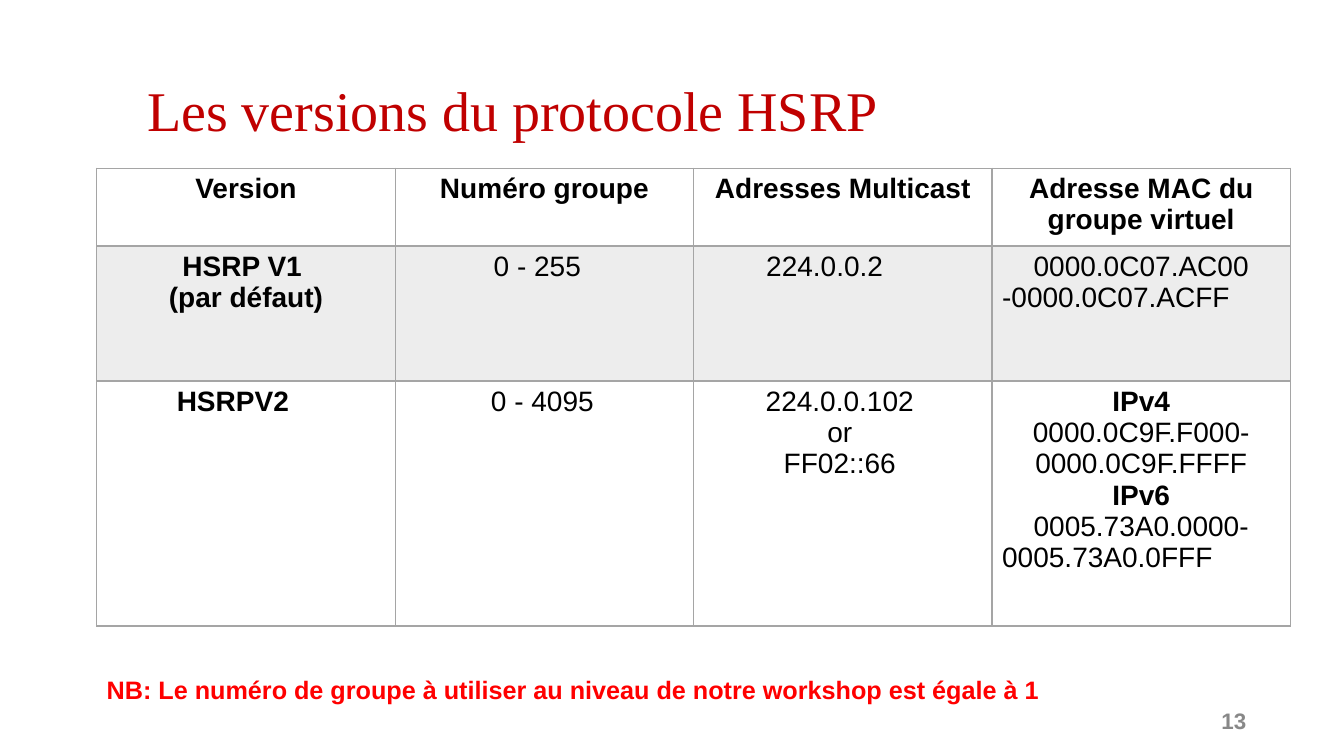
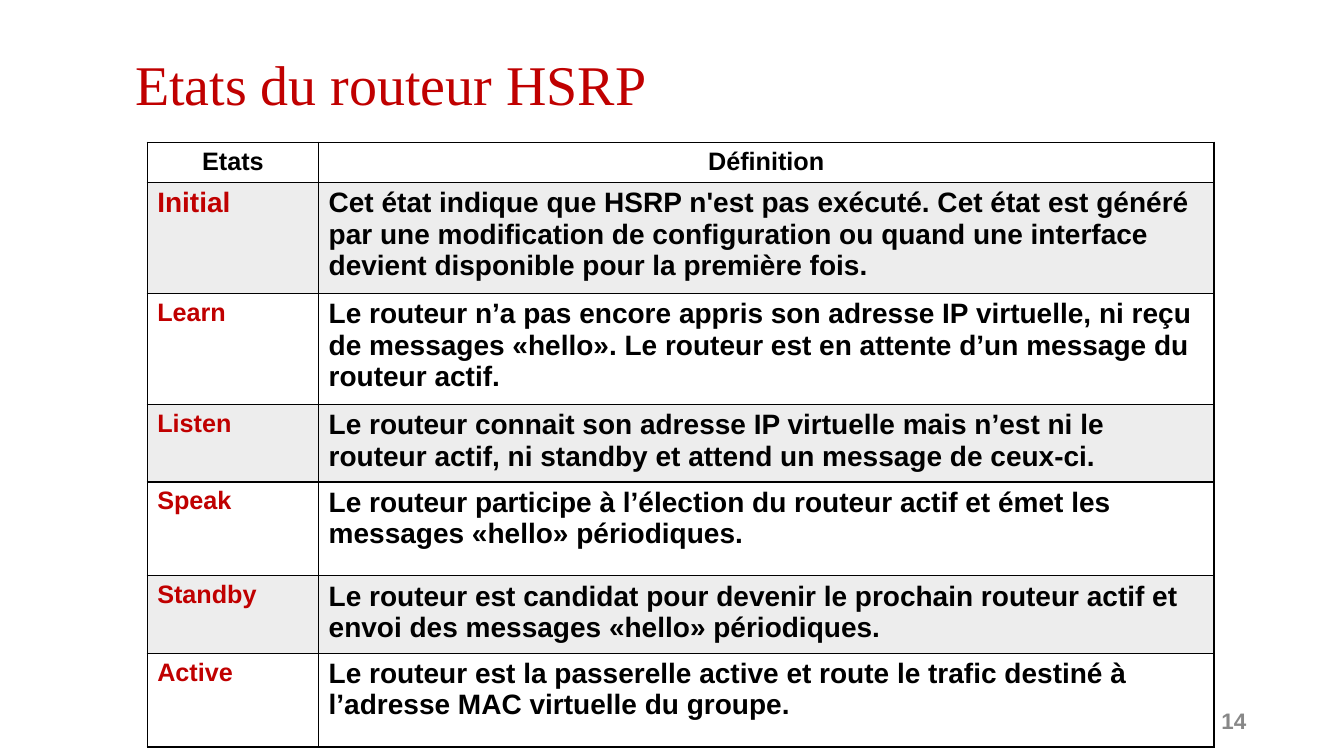
from dataclasses import dataclass

from lxml import etree
from pptx import Presentation
from pptx.dml.color import RGBColor
from pptx.enum.text import MSO_ANCHOR, PP_ALIGN
from pptx.oxml.ns import qn
from pptx.util import Inches, Pt

LEFT, MID, RIGHT = PP_ALIGN.LEFT, PP_ALIGN.CENTER, PP_ALIGN.RIGHT
TOP, CENTER = MSO_ANCHOR.TOP, MSO_ANCHOR.MIDDLE


@dataclass(frozen=True)
class Theme:
    """Colours, fonts and type sizes of the deck."""
    ink: str = "000000"
    red: str = "C00000"
    note: str = "FF0000"
    mute: str = "888888"
    rule: str = "A5A5A5"
    band: str = "EDEDED"
    serif: str = "Times New Roman"
    sans: str = "Arial"
    title: int = 40
    body: int = 20
    small: int = 18
    page: int = 16


THEME = Theme()


@dataclass
class Line:
    """One paragraph and its look."""
    text: str
    bold: bool = True
    align: int = LEFT
    size: int = THEME.body
    color: str = THEME.ink
    font: str = THEME.sans
    space: float = 1.0


@dataclass
class Cell:
    """Paragraphs of a table cell; shift moves centred text to the left."""
    lines: list
    shift: float = 0


class Deck:
    def __init__(self):
        self.prs = Presentation()
        self.prs.slide_width = Inches(13.33)
        self.prs.slide_height = Inches(7.5)
        self.slide = None

    def page(self, title, left, top, num):
        """Start a slide with its title and number."""
        self.slide = self.prs.slides.add_slide(self.prs.slide_layouts[6])
        head = Line(title, False, size=THEME.title, color=THEME.red,
                    font=THEME.serif, space=0.9)
        self.text(head, (left, top, 11.5, 1.45), 0.05, CENTER)
        mark = Line(str(num), align=RIGHT, size=THEME.page, color=THEME.mute)
        self.text(mark, (12.03, 6.83, 0.38, 0.64), 0.05, CENTER)

    def text(self, line, box, pad=0.1, anchor=TOP):
        frame = self.slide.shapes.add_textbox(*map(Inches, box)).text_frame
        frame.word_wrap = True
        frame.vertical_anchor = anchor
        frame.margin_left = frame.margin_right = Inches(pad)
        frame.margin_top = frame.margin_bottom = Inches(0.05)
        self.put(frame, [line])

    def put(self, frame, lines):
        for i, line in enumerate(lines):
            para = frame.add_paragraph() if i else frame.paragraphs[0]
            para.alignment = line.align
            para.line_spacing = line.space
            run = para.add_run()
            run.text = line.text
            run.font.name = line.font
            run.font.size = Pt(line.size)
            run.font.bold = line.bold
            run.font.color.rgb = RGBColor.from_string(line.color)

    def table(self, left, top, cols, rows, data, rule, head=1):
        """Draw a grid; head is the line width under the first row."""
        grid = self.slide.shapes.add_table(
            len(rows), len(cols), Inches(left), Inches(top),
            Inches(sum(cols)), Inches(sum(rows))).table
        for col, width in zip(grid.columns, cols):
            col.width = Inches(width)
        for r, (height, line) in enumerate(zip(rows, data)):
            grid.rows[r].height = Inches(height)
            for c, item in enumerate(line):
                cell = grid.cell(r, c)
                cell.margin_left = Inches(0.1)
                cell.margin_right = Inches(0.1 + 2 * item.shift)
                cell.margin_top = cell.margin_bottom = Inches(0.05)
                self.put(cell.text_frame, item.lines)
                self.border(cell, rule, {"L": 1, "R": 1,
                                         "T": head if r == 1 else 1,
                                         "B": head if r == 0 else 1})
                if r % 2:
                    cell.fill.solid()
                    cell.fill.fore_color.rgb = RGBColor.from_string(THEME.band)
                else:
                    cell.fill.background()

    def border(self, cell, color, sides):
        props = cell._tc.get_or_add_tcPr()
        for side, width in sides.items():
            edge = etree.SubElement(props, qn("a:ln" + side), w=str(Pt(width)))
            fill = etree.SubElement(edge, qn("a:solidFill"))
            etree.SubElement(fill, qn("a:srgbClr"), val=color)


def strong(*texts, shift=0, size=THEME.body):
    return Cell([Line(t, align=MID, size=size) for t in texts], shift)


def plain(*texts, shift=0):
    return Cell([Line(t, False, MID) for t in texts], shift)


def span(first, last):
    """Address range: first line centred, second at the left."""
    return [Line(first, False, MID), Line(last, False)]


def main():
    deck = Deck()

    # Protocol versions
    deck.page("Les versions du protocole HSRP", 1.41, 0.4, 13)
    heads = ["Version", "Numéro groupe", "Adresses Multicast",
             "Adresse MAC du groupe virtuel"]
    macs = [Line("IPv4", align=MID),
            Line("0000.0C9F.F000- 0000.0C9F.FFFF", False, MID),
            Line("IPv6", align=MID),
            *span("0005.73A0.0000-", "0005.73A0.0FFF")]
    data = [
        [strong(h) for h in heads],
        [strong("HSRP V1 ", "(par défaut)"), plain("0 - 255", shift=0.07),
         plain("224.0.0.2", shift=0.18),
         Cell(span("0000.0C07.AC00", "-0000.0C07.ACFF"))],
        [strong("HSRPV2", shift=0.13), plain("0 - 4095", shift=0.02),
         plain("224.0.0.102", "or", "FF02::66", shift=0.03), Cell(macs)],
    ]
    deck.table(0.96, 1.67, [2.96] * 4, [0.77, 1.34, 2.43], data,
               THEME.rule, head=2)
    deck.text(Line("NB: Le numéro de groupe à utiliser au niveau de notre "
                   "workshop est égale à 1", size=THEME.small,
                   color=THEME.note), (0.96, 6.64, 9.82, 0.4))

    # Router states
    deck.page("Etats du routeur HSRP", 1.29, 0.14, 14)
    states = [
        ("Initial", "Cet état indique que HSRP n'est pas exécuté. Cet état est "
         "généré par une modification de configuration ou quand une interface "
         "devient disponible pour la première fois."),
        ("Learn", "Le routeur n’a pas encore appris son adresse IP virtuelle, "
         "ni reçu de messages «hello». Le routeur est en attente d’un message "
         "du routeur actif."),
        ("Listen", "Le routeur connait son adresse IP virtuelle mais n’est ni "
         "le routeur actif, ni standby et attend un message de ceux-ci."),
        ("Speak", "Le routeur participe à l’élection du routeur actif et émet "
         "les messages «hello» périodiques."),
        ("Standby", "Le routeur est candidat pour devenir le prochain routeur "
         "actif et envoi des messages «hello» périodiques."),
        ("Active", "Le routeur est la passerelle active et route le trafic "
         "destiné à l’adresse MAC virtuelle du groupe."),
    ]
    data = [[strong(h, size=THEME.small) for h in ("Etats", "Définition")]]
    for i, (name, role) in enumerate(states):
        size = THEME.small if i else THEME.body
        data.append([Cell([Line(name, size=size, color=THEME.red)]),
                     Cell([Line(role)])])
    deck.table(1.46, 1.41, [1.7, 8.88],
               [0.4, 1.1, 1.1, 0.77, 0.93, 0.77, 0.93], data, THEME.ink)

    deck.prs.save("out.pptx")


if __name__ == "__main__":
    main()
